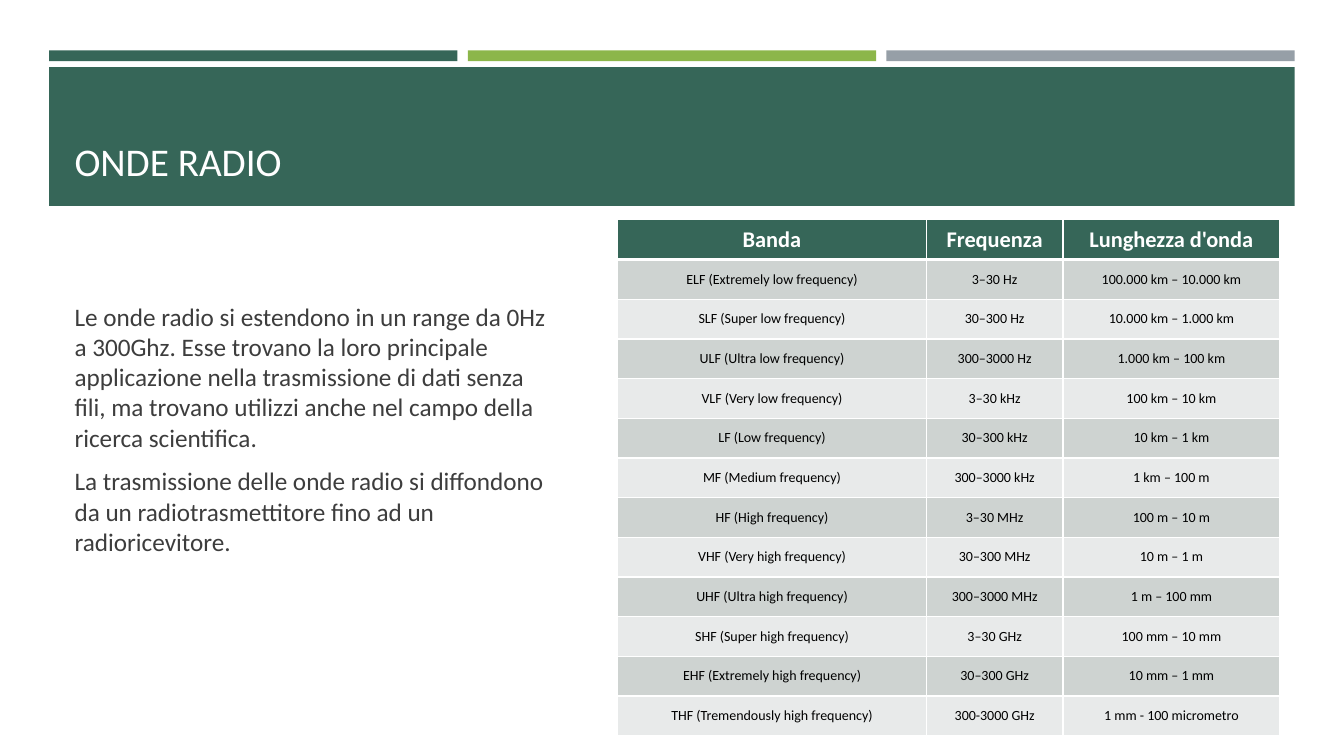
from dataclasses import dataclass

from lxml import etree
from pptx import Presentation
from pptx.dml.color import RGBColor
from pptx.enum.shapes import MSO_SHAPE
from pptx.enum.text import MSO_ANCHOR, PP_ALIGN
from pptx.oxml.ns import qn
from pptx.util import Cm, Pt

RECTANGLE = MSO_SHAPE.RECTANGLE
BOTTOM, MIDDLE = MSO_ANCHOR.BOTTOM, MSO_ANCHOR.MIDDLE
LEFT, CENTER = PP_ALIGN.LEFT, PP_ALIGN.CENTER


@dataclass(frozen=True)
class Theme:
    font: str = "Calibri"
    white: str = "FFFFFF"
    green: str = "366658"
    lime: str = "8CB64A"
    gray: str = "969FA7"
    text: str = "3D3D3D"
    black: str = "000000"
    stripes: tuple = ("CED3D1", "E8EAEA")
    title_size: int = 28
    body_size: int = 18
    header_size: int = 16
    cell_size: int = 10


class SlideBuilder:
    """Draws themed elements on one slide, with lengths in centimetres."""

    def __init__(self, page, theme):
        self.page = page
        self.theme = theme

    def bar(self, left, top, width, height, color):
        box = self.page.shapes.add_shape(
            RECTANGLE, Cm(left), Cm(top), Cm(width), Cm(height))
        box.shadow.inherit = False
        box.fill.solid()
        box.fill.fore_color.rgb = RGBColor.from_string(color)
        box.line.fill.background()

    def add_span(self, para, text, size, color, bold=False, align=LEFT):
        para.alignment = align
        span = para.add_run()
        span.text = text
        span.font.name = self.theme.font
        span.font.size = Pt(size)
        span.font.bold = bold
        span.font.color.rgb = RGBColor.from_string(color)

    def text(self, left, top, width, height, paragraphs, size, color, anchor,
             before=0, after=0, bottom_inset=0.13):
        box = self.page.shapes.add_textbox(
            Cm(left), Cm(top), Cm(width), Cm(height))
        frame = box.text_frame
        frame.word_wrap = True
        frame.vertical_anchor = anchor
        frame.margin_bottom = Cm(bottom_inset)
        for index, text in enumerate(paragraphs):
            para = frame.add_paragraph() if index else frame.paragraphs[0]
            para.space_before, para.space_after = Pt(before), Pt(after)
            self.add_span(para, text, size, color)

    def borders(self, cell, bottom):
        properties = cell._tc.get_or_add_tcPr()
        for side, width in (("L", 1), ("R", 1), ("T", 1), ("B", bottom)):
            line = etree.SubElement(
                properties, qn(f"a:ln{side}"), w=str(Pt(width)))
            fill = etree.SubElement(line, qn("a:solidFill"))
            etree.SubElement(fill, qn("a:srgbClr"), val=self.theme.white)

    def table(self, left, top, widths, row_height, rows):
        theme = self.theme
        table = self.page.shapes.add_table(
            len(rows), len(widths), Cm(left), Cm(top),
            Cm(sum(widths)), Cm(row_height * len(rows))).table
        for column, width in zip(table.columns, widths):
            column.width = Cm(width)
        for row_index, values in enumerate(rows):
            header = row_index == 0
            fill = theme.green if header else theme.stripes[(row_index - 1) % 2]
            size = theme.header_size if header else theme.cell_size
            color = theme.white if header else theme.black
            for column_index, value in enumerate(values):
                cell = table.cell(row_index, column_index)
                self.borders(cell, 3 if header else 1)
                cell.fill.solid()
                cell.fill.fore_color.rgb = RGBColor.from_string(fill)
                cell.vertical_anchor = MIDDLE
                self.add_span(cell.text_frame.paragraphs[0], value, size, color,
                              header, CENTER)


BODY = (
    "Le onde radio si estendono in un range da 0Hz a 300Ghz. Esse trovano la "
    "loro principale applicazione nella trasmissione di dati senza fili, ma "
    "trovano utilizzi anche nel campo della ricerca scientifica.",
    "La trasmissione delle onde radio si diffondono da un radiotrasmettitore "
    "fino ad un radioricevitore.",
)
BANDS = (
    ("Banda", "Frequenza", "Lunghezza d'onda"),
    ("ELF (Extremely low frequency)", "3–30 Hz", "100.000 km – 10.000 km"),
    ("SLF (Super low frequency)", "30–300 Hz", "10.000 km – 1.000 km"),
    ("ULF (Ultra low frequency)", "300–3000 Hz", "1.000 km – 100 km"),
    ("VLF (Very low frequency)", "3–30 kHz", "100 km – 10 km"),
    ("LF (Low frequency)", "30–300 kHz", "10 km – 1 km"),
    ("MF (Medium frequency)", "300–3000 kHz", "1 km – 100 m"),
    ("HF (High frequency)", "3–30 MHz", "100 m – 10 m"),
    ("VHF (Very high frequency)", "30–300 MHz", "10 m – 1 m"),
    ("UHF (Ultra high frequency)", "300–3000 MHz", "1 m – 100 mm"),
    ("SHF (Super high frequency)", "3–30 GHz", "100 mm – 10 mm"),
    ("EHF (Extremely high frequency)", "30–300 GHz", "10 mm – 1 mm"),
    ("THF (Tremendously high frequency)", "300-3000 GHz",
     "1 mm - 100 micrometro"),
)


def main():
    deck = Presentation()
    deck.slide_width, deck.slide_height = Cm(33.87), Cm(19.05)
    theme = Theme()
    builder = SlideBuilder(deck.slides.add_slide(deck.slide_layouts[6]), theme)

    for index, color in enumerate((theme.green, theme.lime, theme.gray)):
        builder.bar(1.24 + 10.55 * index, 1.27, 10.29, 0.27, color)
    builder.bar(1.24, 1.69, 31.39, 3.5, theme.green)
    builder.text(1.63, 2.03, 30.63, 2.74, ("ONDE RADIO",),
                 theme.title_size, theme.white, BOTTOM)
    builder.text(1.63, 6.2, 12.52, 10.08, BODY, theme.body_size, theme.text,
                 MIDDLE, before=3.6, after=6, bottom_inset=1)
    builder.table(15.57, 5.54, (7.77, 3.45, 5.46), 1, BANDS)
    deck.save("out.pptx")


if __name__ == "__main__":
    main()
